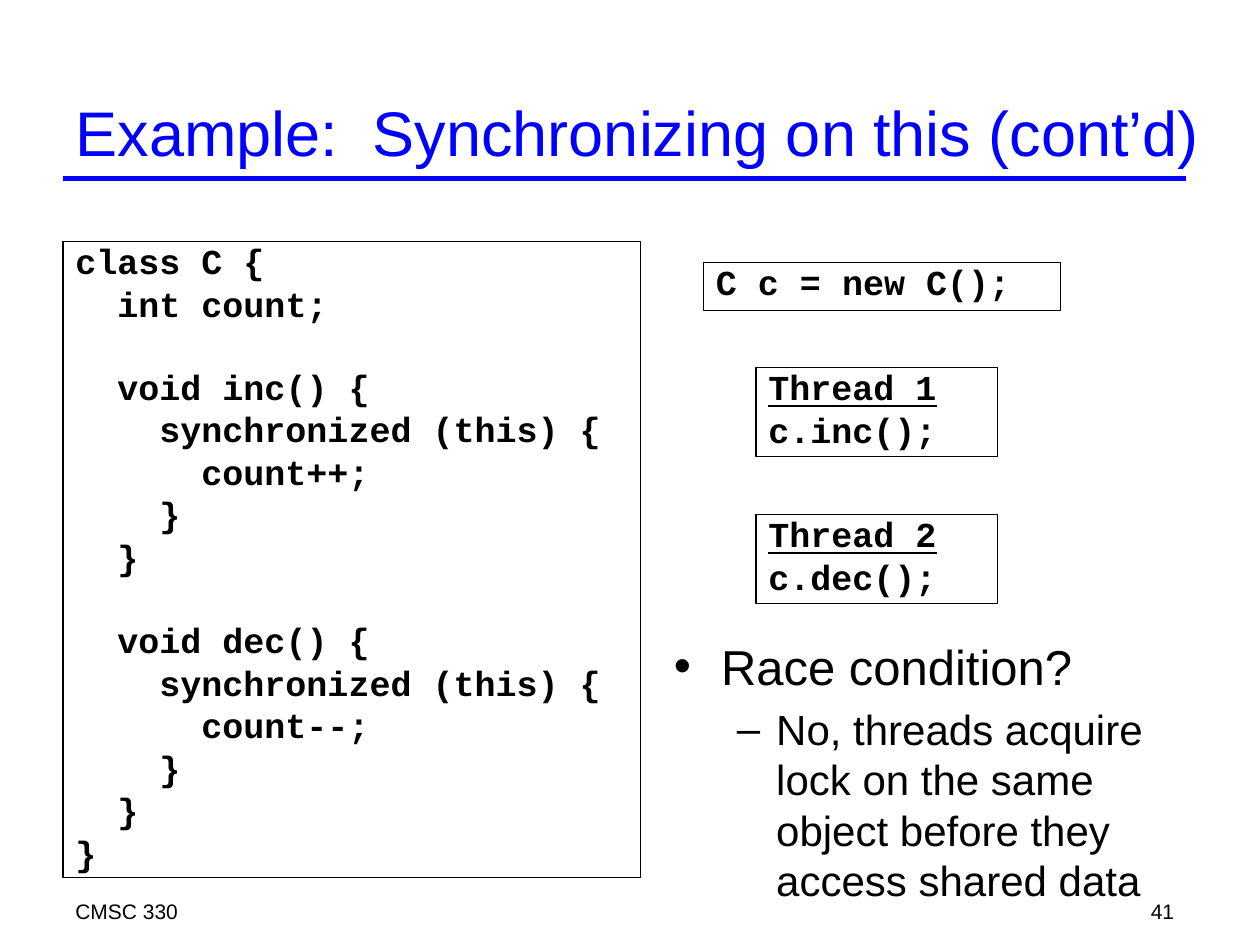
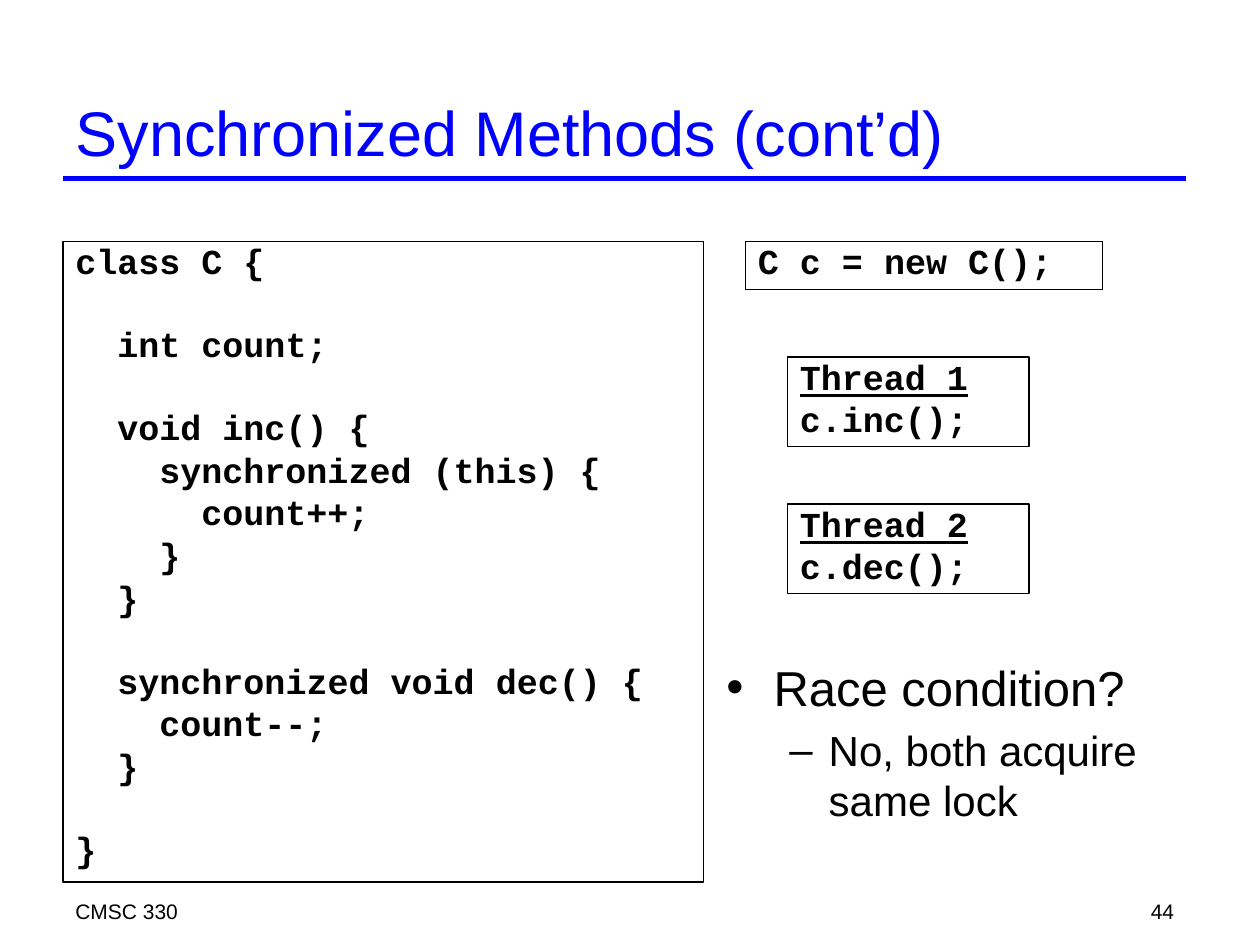
from lxml.etree import SubElement
from pptx import Presentation
from pptx.dml.color import RGBColor
from pptx.enum.shapes import MSO_CONNECTOR, MSO_SHAPE
from pptx.enum.text import MSO_ANCHOR, MSO_AUTO_SIZE, PP_ALIGN
from pptx.oxml.ns import qn
from pptx.util import Pt

BLUE, BLACK = "0000FF", "000000"
SANS, MONO = "Arial", "Courier New"
LEFT = 36
CODE_SIZE = 20
CHAR = 12     # width of one code letter
PITCH = 23.2  # from one code line to the next
GAP = 5.1     # part of the pitch above a line

SYNC_THIS = """class C {
  int count;

  void inc() {
    synchronized (this) {
      count++;
    }
  }

  void dec() {
    synchronized (this) {
      count--;
    }
  }
}"""

SYNC_METHOD = """class C {

  int count;

  void inc() {
    synchronized (this) {
      count++;
    }
  }

  synchronized void dec() {
    count--;
  }

}"""


def paint(target, color):
    """Give a font or a fill one solid colour."""
    if hasattr(target, "solid"):
        target.solid()
        target.fore_color.rgb = RGBColor.from_string(color)
    else:
        target.color.rgb = RGBColor.from_string(color)


def add_run(para, text, size, font=SANS, color=BLACK, bold=False, under=False):
    run = para.add_run()
    run.text = text
    run.font.size, run.font.name = Pt(size), font
    run.font.bold, run.font.underline = bold, under
    paint(run.font, color)


def next_para(frame, first):
    return frame.paragraphs[0] if first else frame.add_paragraph()


def add_box(slide, x, y, w, h):
    box = slide.shapes.add_textbox(Pt(x), Pt(y), Pt(w), Pt(h))
    box.text_frame.word_wrap = True
    return box.text_frame


def add_title(slide, text):
    title = slide.shapes.title
    title.left, title.top = Pt(LEFT), Pt(48)
    title.width, title.height = Pt(666), Pt(54)
    frame = title.text_frame
    frame.word_wrap = True
    frame.auto_size = MSO_AUTO_SIZE.NONE
    frame.vertical_anchor = MSO_ANCHOR.MIDDLE
    para = frame.paragraphs[0]
    para.alignment = PP_ALIGN.LEFT
    add_run(para, text, 36, color=BLUE)


def add_rule(slide):
    rule = slide.shapes.add_connector(
        MSO_CONNECTOR.STRAIGHT, Pt(LEFT), Pt(102), Pt(678), Pt(102))
    rule.line.width = Pt(3)
    paint(rule.line.fill, BLUE)
    SubElement(rule._element.spPr, qn("a:effectLst"))


def add_footer(slide, number):
    course = add_box(slide, LEFT, 510, 438, 18).paragraphs[0]
    add_run(course, "CMSC 330", 12)
    page = add_box(slide, 528, 510, 150, 18).paragraphs[0]
    page.alignment = PP_ALIGN.RIGHT
    add_run(page, str(number), 12)


def add_code(slide, code, x, y, w, h, head=False):
    """Framed code: leading blanks become indents, empty lines become space."""
    box = slide.shapes.add_shape(MSO_SHAPE.RECTANGLE, Pt(x), Pt(y), Pt(w), Pt(h))
    box.shadow.inherit = False
    box.fill.background()
    box.line.width = Pt(0.75)
    paint(box.line.fill, BLACK)
    frame = box.text_frame
    frame.word_wrap = True
    frame.vertical_anchor = MSO_ANCHOR.TOP
    space = GAP
    for i, line in enumerate(code.split("\n")):
        if not line:
            space += PITCH
            continue
        text = line.lstrip()
        para = next_para(frame, i == 0)
        para.alignment = PP_ALIGN.LEFT
        para.line_spacing = 0.8
        para.space_before = Pt(space)
        para._p.get_or_add_pPr().set("marL", str(Pt(CHAR * (len(line) - len(text)))))
        add_run(para, text, CODE_SIZE, MONO, bold=True, under=head and i == 0)
        space = GAP


def add_points(slide, answer, x, y, w, h):
    frame = add_box(slide, x, y, w, h)
    points = [("Race condition?", "•", 28, 27, 27), (answer, "–", 24, 58.5, 22.5)]
    for level, (text, mark, size, margin, hang) in enumerate(points):
        para = next_para(frame, level == 0)
        para.level = level
        para.space_before = Pt(size * 0.2)
        props = para._p.get_or_add_pPr()
        props.set("marL", str(Pt(margin)))
        props.set("indent", str(-Pt(hang)))
        SubElement(props, qn("a:buFont"), typeface=SANS)
        SubElement(props, qn("a:buChar"), char=mark)
        add_run(para, text, size)


def add_threads(slide, x, y):
    for i, call in enumerate(["inc", "dec"]):
        code = f"Thread {i + 1}\nc.{call}();"
        add_code(slide, code, x, y + 84 * i, 138, 51, head=True)


def add_slide(deck, title, number):
    slide = deck.slides.add_slide(deck.slide_layouts[5])
    add_rule(slide)
    add_footer(slide, number)
    add_title(slide, title)
    return slide


def main():
    deck = Presentation()
    deck.slide_width, deck.slide_height = Pt(720), Pt(540)
    make = "C c = new C();"

    slide = add_slide(deck, "Example:  Synchronizing on this (cont’d)", 41)
    add_points(slide, "No, threads acquire lock on the same object "
               "before they access shared data", 378, 360, 294, 162)
    add_code(slide, SYNC_THIS, LEFT, 138, 330, 363.5)
    add_threads(slide, 432, 210)
    add_code(slide, make, 402, 150, 204, 27.5)

    slide = add_slide(deck, "Synchronized Methods (cont’d)", 44)
    add_points(slide, "No, both acquire same lock", 408, 372, 294, 126)
    add_code(slide, SYNC_METHOD, LEFT, 138, 366, 366)
    add_threads(slide, 450, 204)
    add_code(slide, make, 426, 138, 204, 27.5)

    deck.save("out.pptx")


if __name__ == "__main__":
    main()
